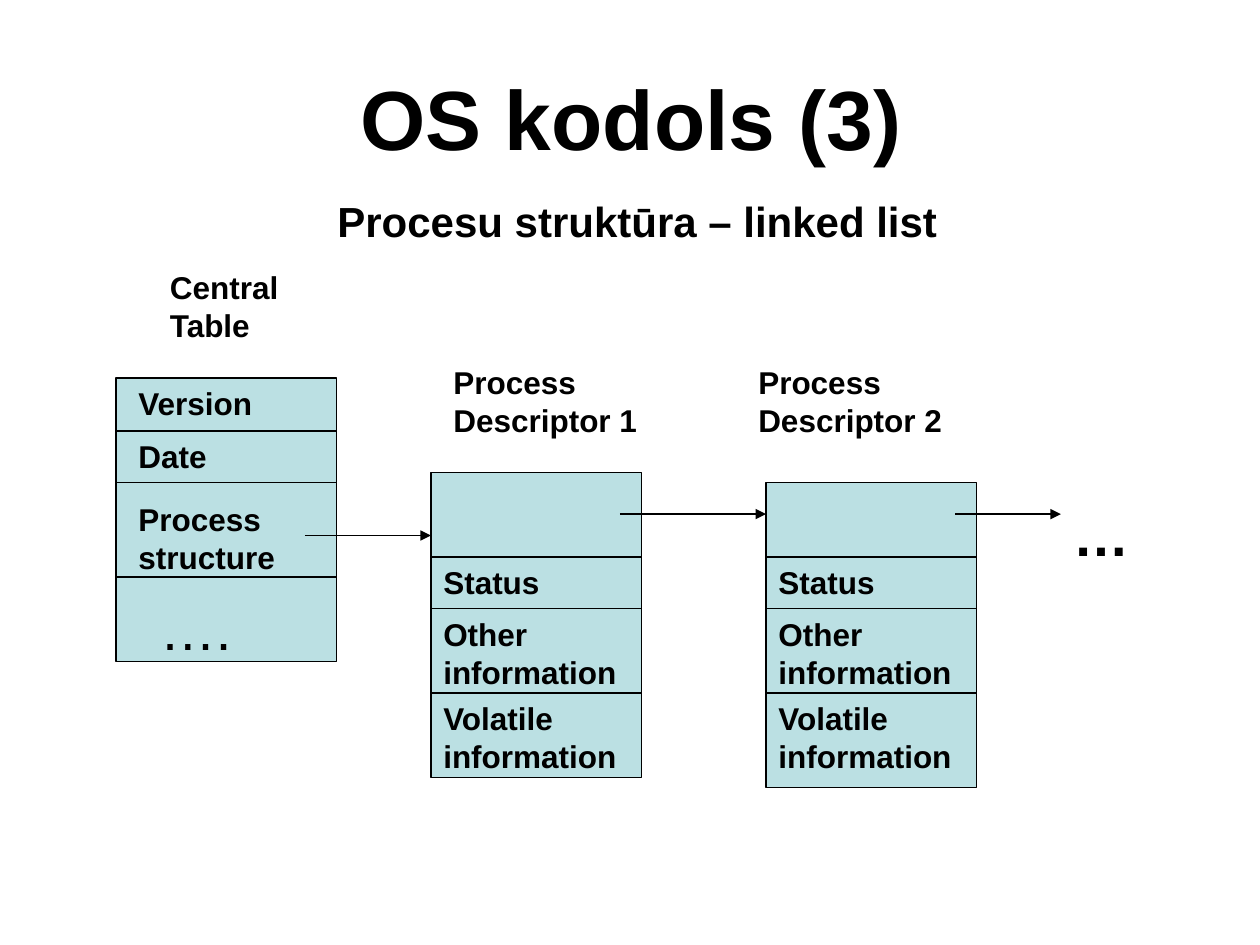
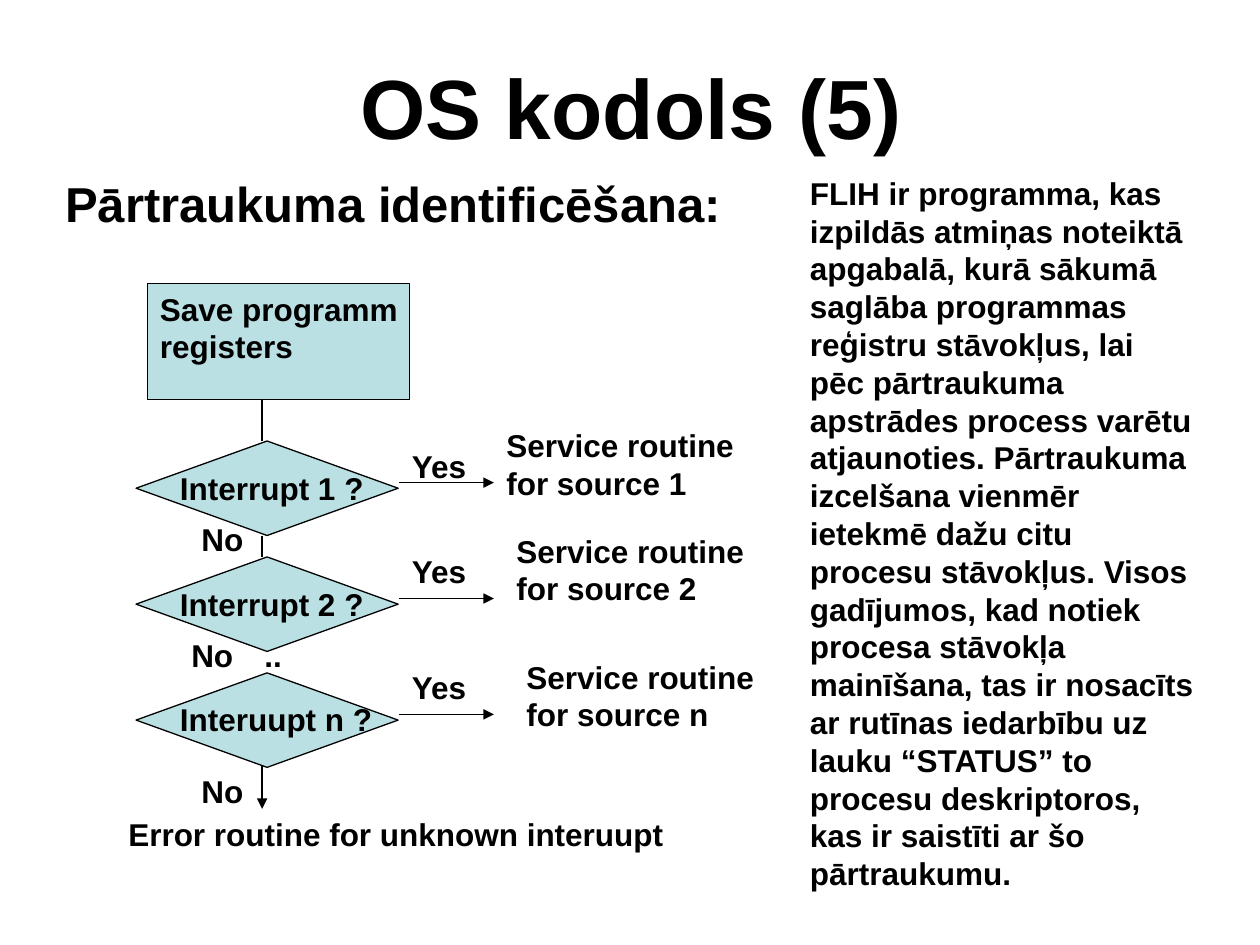
from lxml import etree
from pptx import Presentation
from pptx.dml.color import RGBColor
from pptx.enum import shapes, text
from pptx.oxml.ns import qn
from pptx.util import Inches, Pt

COLORS = {"ink": "000000", "fill": "BBE0E3", "paper": "FFFFFF"}
FONT = "Arial"
LINE_WIDTH = Pt(0.75)


def color(name):
    return RGBColor.from_string(COLORS[name])


class Deck:
    def __init__(self):
        self.prs = Presentation()
        self.prs.slide_width = Inches(10)
        self.prs.slide_height = Inches(7.5)
        self.slide = None

    def new_slide(self, title, top, height):
        self.slide = self.prs.slides.add_slide(self.prs.slide_layouts[6])
        fill = self.slide.background.fill
        fill.solid()
        fill.fore_color.rgb = color("paper")
        tf = self.label(title, 0.51, top, 9, height, size=48)
        tf.auto_size = text.MSO_AUTO_SIZE.NONE
        tf.vertical_anchor = text.MSO_ANCHOR.MIDDLE
        tf.paragraphs[0].alignment = text.PP_ALIGN.CENTER

    def label(self, words, left, top, width, height=0.4, size=18, bold=True):
        sp = self.slide.shapes.add_textbox(
            Inches(left), Inches(top), Inches(width), Inches(height))
        tf = sp.text_frame
        tf.word_wrap = True
        tf.auto_size = text.MSO_AUTO_SIZE.SHAPE_TO_FIT_TEXT
        p = tf.paragraphs[0]
        p.text = words
        p.font.name = FONT
        p.font.size = Pt(size)
        p.font.bold = bold
        p.font.color.rgb = color("ink")
        return tf

    def box(self, left, top, width, height, kind=shapes.MSO_SHAPE.RECTANGLE):
        sp = self.slide.shapes.add_shape(
            kind, Inches(left), Inches(top), Inches(width), Inches(height))
        sp.shadow.inherit = False
        sp.fill.solid()
        sp.fill.fore_color.rgb = color("fill")
        sp.line.color.rgb = color("ink")
        sp.line.width = LINE_WIDTH

    def line(self, x1, y1, x2, y2, arrow=False):
        cn = self.slide.shapes.add_connector(
            shapes.MSO_CONNECTOR.STRAIGHT,
            Inches(x1), Inches(y1), Inches(x2), Inches(y2))
        cn.line.color.rgb = color("ink")
        cn.line.width = LINE_WIDTH
        if arrow:
            etree.SubElement(cn.line._get_or_add_ln(), qn("a:tailEnd"), type="triangle")
        etree.SubElement(cn._element.spPr, qn("a:effectLst"))

    def dividers(self, left, width, tops):
        for y in tops:
            self.line(left, y, left + width, y)


def central_table(deck):
    left, width = 0.92, 1.75
    deck.box(left, 3, width, 2.25)
    deck.dividers(left, width, (3.42, 3.83, 4.58))
    deck.label("Central Table", 1.25, 2.08, 1.75, 0.7)
    for words, top, height in (("Version", 3, 0.4), ("Date", 3.42, 0.4),
                               ("Process structure", 3.92, 0.7)):
        deck.label(words, 1, top, 1.6, height)
    deck.label("….", 1.17, 4.67, 1.25, 0.64, size=32, bold=False)


def process_descriptor(deck, number, left, top, title_left):
    width = 1.67
    fields = (("Status", 4.42, 0.4), ("Other information", 4.83, 0.7),
              ("Volatile information", 5.5, 0.7))
    deck.box(left, top, width, 2.42)
    deck.dividers(left, width, [field_top for _, field_top, _ in fields])
    deck.label(f"Process Descriptor {number}", title_left, 2.83, width, 0.7)
    for words, field_top, height in fields:
        deck.label(words, left, field_top, width, height)


def linked_list_slide(deck):
    deck.new_slide("OS kodols (3)", 0.44, 0.97)
    deck.label("Procesu struktūra – linked list", 2.58, 1.5, 6.17, 0.5, size=24)
    central_table(deck)
    process_descriptor(deck, 1, 3.42, 3.75, 3.5)
    process_descriptor(deck, 2, 6.08, 3.83, 5.92)
    for start, end, y in ((2.42, 3.42, 4.25), (4.92, 6.08, 4.08), (7.58, 8.42, 4.08)):
        deck.line(start, y, end, y, arrow=True)
    deck.label("…", 8.42, 3.92, 0.67, 0.64, size=32)


def interrupt_slide(deck):
    deck.new_slide("OS kodols (5)", 0.28, 1.13)
    deck.label("Pārtraukuma identificēšana:", 0.42, 1.33, 5.8, 0.57, size=28)
    deck.box(1.17, 2.25, 2.08, 0.92)
    deck.label("Save programm registers", 1.17, 2.25, 2.25, 0.7)

    first_test, step, flow_x = 3.5, 0.92, 2.08
    # question, source, top of "Yes", top of the routine, place of "No"
    tests = (("Interrupt 1 ?", "1", 3.5, 3.33, (1.5, 4.08)),
             ("Interrupt 2 ?", "2", 4.33, 4.17, (1.42, 5)),
             ("Interuupt n ?", "n", 5.25, 5.17, (1.5, 6.08)))
    for i, (question, source, yes_top, routine_top, no_at) in enumerate(tests):
        top = first_test + i * step
        deck.box(1.08, top, 2.08, 0.75, shapes.MSO_SHAPE.DIAMOND)
        deck.label(question, 1.33, top + 0.17, 1.83)
        deck.line(3.17, top + 0.33, 3.92, top + 0.33, arrow=True)
        deck.label("Yes", 3.17, yes_top, 0.83)
        deck.label("No", *no_at, 0.67)
        deck.label(f"Service routine for source {source}",
                   3.92 + i * 0.08, routine_top, 2.15, 0.7)

    deck.line(flow_x, 3.17, flow_x, 3.5)
    deck.line(flow_x, 4.25, flow_x, 4.42)
    deck.label("..", 2, 5, 0.5)
    deck.line(flow_x, 6.08, flow_x, 6.42, arrow=True)
    deck.label("Error routine for unknown interuupt", 0.92, 6.42, 4.67)
    deck.label(
        "FLIH ir programma, kas izpildās atmiņas noteiktā apgabalā, kurā sākumā "
        "saglāba programmas reģistru stāvokļus, lai pēc pārtraukuma apstrādes "
        "process varētu atjaunoties. Pārtraukuma izcelšana vienmēr ietekmē dažu "
        "citu procesu stāvokļus. Visos gadījumos, kad notiek procesa stāvokļa "
        "mainīšana, tas ir nosacīts ar rutīnas iedarbību uz lauku “STATUS” to "
        "procesu deskriptoros, kas ir saistīti ar šo pārtraukumu.",
        6.33, 1.33, 3.25, 5.8)


def main():
    deck = Deck()
    linked_list_slide(deck)
    interrupt_slide(deck)
    deck.prs.save("out.pptx")


if __name__ == "__main__":
    main()
